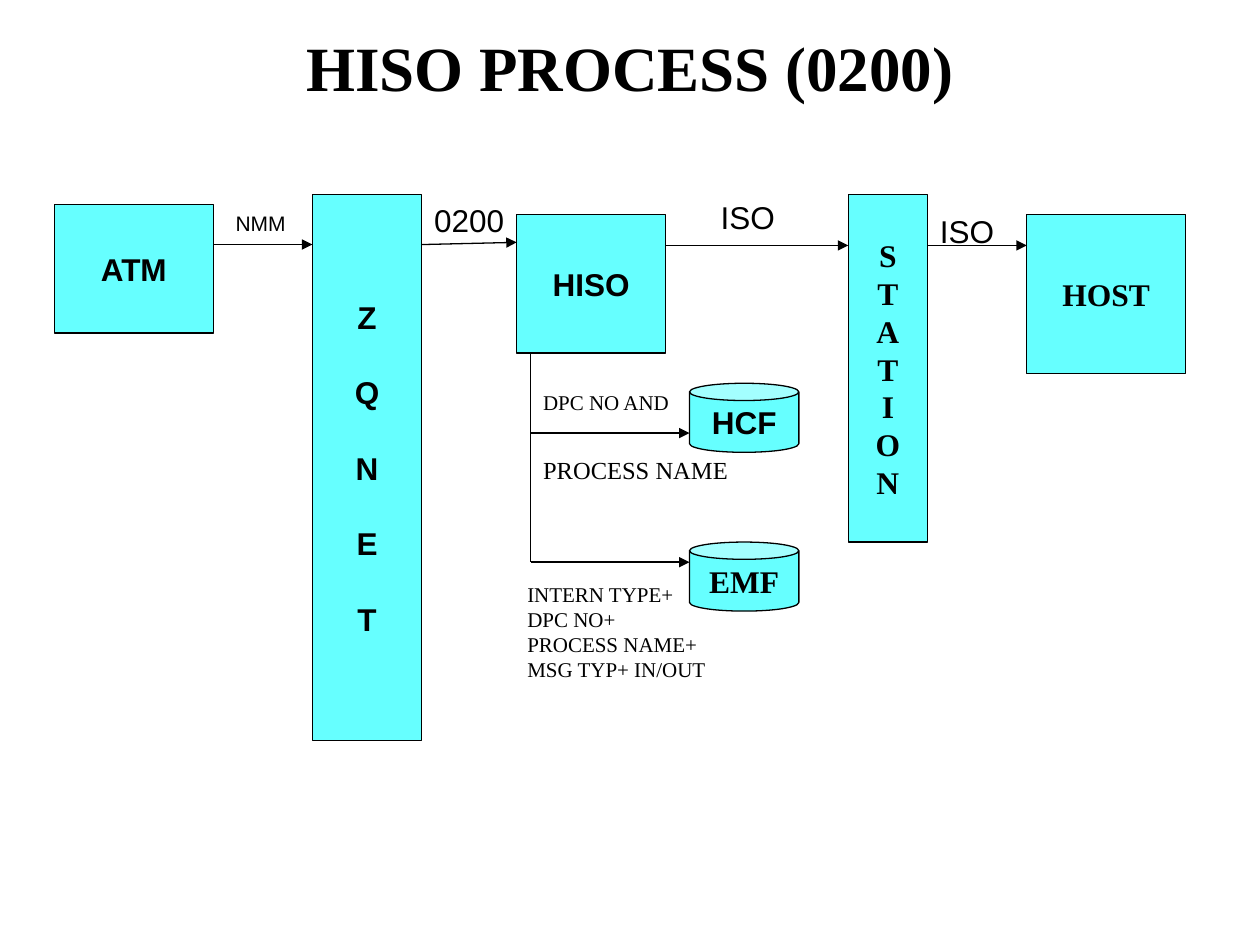
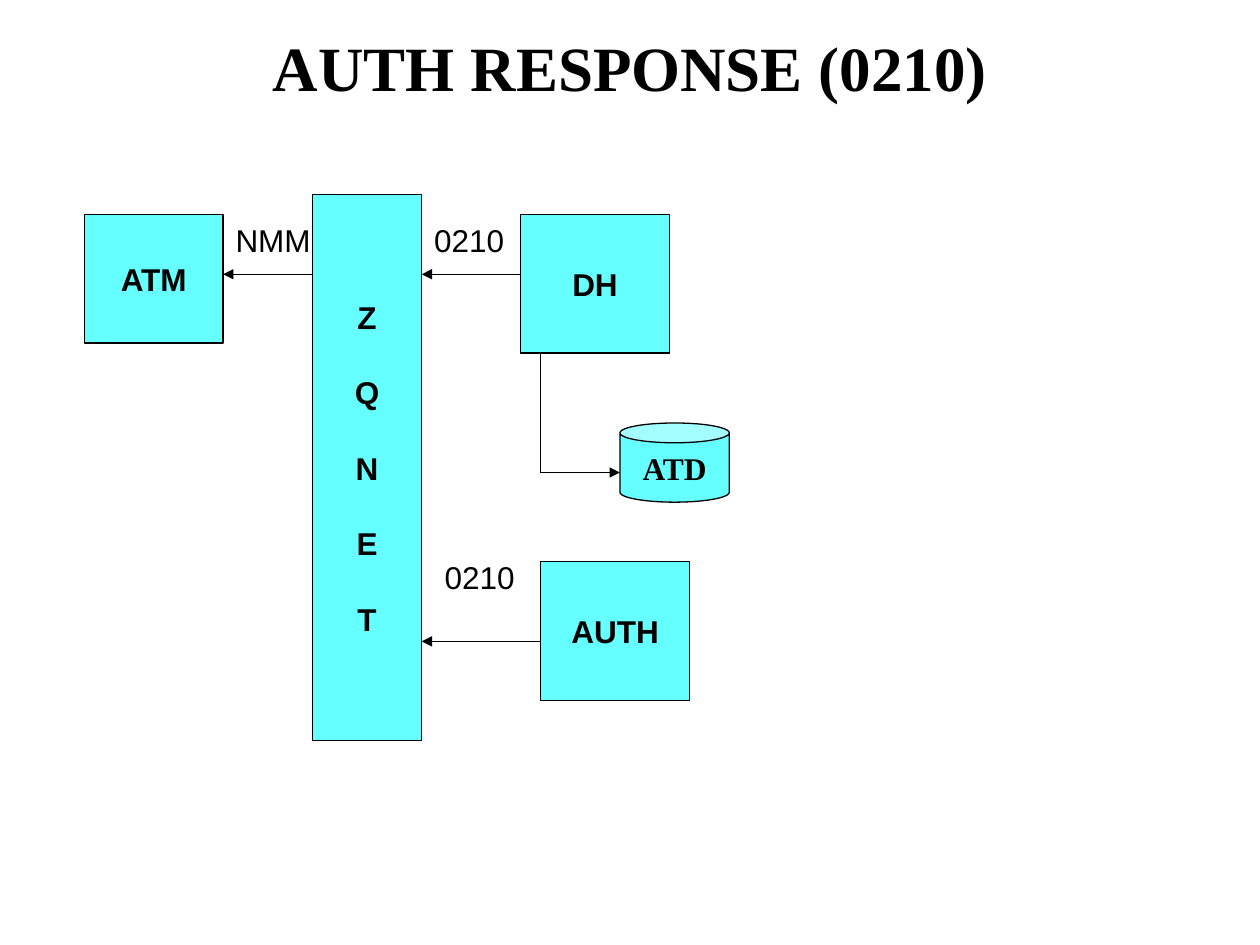
from pptx import Presentation
from pptx.dml.color import RGBColor
from pptx.enum.shapes import MSO_CONNECTOR, MSO_SHAPE
from pptx.enum.text import MSO_ANCHOR, MSO_AUTO_SIZE, PP_ALIGN
from pptx.oxml.ns import qn
from pptx.util import Pt
from lxml import etree

BLACK = RGBColor(0x00, 0x00, 0x00)
CYAN = RGBColor(0x66, 0xFF, 0xFF)
SANS = "Arial"
SERIF = "Times New Roman"
LINE_WIDTH = Pt(0.75)
LEADING = 1.2


def write(tf, text, size=18, font=SANS, bold=False, align=PP_ALIGN.LEFT,
          anchor=MSO_ANCHOR.TOP, wrap=False, gap=0, leading=LEADING):
    """Fill a text frame, one paragraph per line; gap is the space between them."""
    tf.word_wrap = wrap
    tf.vertical_anchor = anchor
    for i, line in enumerate(text.split("\n")):
        p = tf.paragraphs[0] if i == 0 else tf.add_paragraph()
        p.alignment = align
        if leading:
            p.line_spacing = Pt(size * leading)
        if i and gap:
            p.space_before = Pt(gap)
        r = p.add_run()
        r.text = line
        r.font.size = Pt(size)
        r.font.name = font
        r.font.bold = bold
        r.font.color.rgb = BLACK


def add_slide(prs, title):
    s = prs.slides.add_slide(prs.slide_layouts[5])
    sp = s.shapes.title
    sp.left, sp.top, sp.width, sp.height = Pt(36), Pt(15), Pt(648), Pt(46)
    sp.text_frame.auto_size = MSO_AUTO_SIZE.NONE
    write(sp.text_frame, title, size=36, font=SERIF, bold=True,
          align=PP_ALIGN.CENTER, anchor=MSO_ANCHOR.MIDDLE, wrap=True, leading=None)
    return s


def add_node(s, text, x, y, w, h, kind=MSO_SHAPE.RECTANGLE, font=SANS, gap=0):
    sp = s.shapes.add_shape(kind, Pt(x), Pt(y), Pt(w), Pt(h))
    sp.shadow.inherit = False
    sp.fill.solid()
    sp.fill.fore_color.rgb = CYAN
    sp.line.color.rgb = BLACK
    sp.line.width = LINE_WIDTH
    write(sp.text_frame, text, font=font, bold=True, align=PP_ALIGN.CENTER,
          anchor=MSO_ANCHOR.MIDDLE, gap=gap)
    return sp


def add_store(s, text, x, y, h, font=SERIF):
    """Draw a data file as a cylinder."""
    return add_node(s, text, x, y, 62.5, h, kind=MSO_SHAPE.CAN, font=font)


def add_switch(s):
    """Draw the tall network bar that both flows pass through."""
    return add_node(s, "\n".join("ZQNET"), 178.5, 111.25, 62.5, 312, gap=21.6)


def add_label(s, text, x, y, w, h=28.8, **style):
    sp = s.shapes.add_textbox(Pt(x), Pt(y), Pt(w), Pt(h))
    sp.text_frame.auto_size = MSO_AUTO_SIZE.SHAPE_TO_FIT_TEXT
    write(sp.text_frame, text, wrap=True, **style)


def add_line(s, x1, y1, x2, y2, arrow=True):
    c = s.shapes.add_connector(MSO_CONNECTOR.STRAIGHT, x1, y1, x2, y2)
    c.line.color.rgb = BLACK
    c.line.width = LINE_WIDTH
    if arrow:
        etree.SubElement(c.line._get_or_add_ln(), qn("a:tailEnd"), type="triangle")
    etree.SubElement(c._element.spPr, qn("a:effectLst"))


def link(s, start, end, y, y_end=None):
    """Draw an arrow between the facing sides of two nodes."""
    if start.left < end.left:
        x1, x2 = start.left + start.width, end.left
    else:
        x1, x2 = start.left, end.left + end.width
    add_line(s, x1, Pt(y), x2, Pt(y_end or y))


def branch(s, node, x, targets):
    """Drop a trunk from a node, with an arrow to each (store, y) in targets."""
    add_line(s, Pt(x), node.top + node.height, Pt(x), Pt(targets[-1][1]), arrow=False)
    for store, y in targets:
        add_line(s, Pt(x), Pt(y), store.left, Pt(y))


def build_hiso_process(prs):
    s = add_slide(prs, "HISO PROCESS (0200)")
    atm = add_node(s, "ATM", 31, 116.75, 91, 73.5)
    switch = add_switch(s)
    hiso = add_node(s, "HISO", 295.25, 122.5, 85, 79.25)
    station = add_node(s, "\n".join("STATION"), 484.75, 111.25, 45.25, 198.5, font=SERIF)
    host = add_node(s, "HOST", 586.75, 122.5, 90.75, 91, font=SERIF)
    hcf = add_store(s, "HCF", 394, 219, 39.5, font=SANS)
    emf = add_store(s, "EMF", 394, 309.75, 39.5)

    link(s, atm, switch, 139.75)
    link(s, switch, hiso, 139.75, 138.5)
    link(s, hiso, station, 140.25)
    link(s, station, host, 140.25)
    branch(s, hiso, 303.25, [(hcf, 247.5), (emf, 321.25)])

    add_label(s, "NMM", 127.5, 116.75, 46, 21.6, size=12)
    add_label(s, "0200", 241, 111.5, 57)
    add_label(s, "ISO", 404.75, 109.5, 48)
    add_label(s, "ISO", 530, 117.5, 48)
    add_label(s, "DPC NO AND", 303.25, 219, 90, 21.6, size=12, font=SERIF)
    add_label(s, "PROCESS NAME", 303.25, 256.5, 122, 24, size=14, font=SERIF)
    add_label(s, "INTERN TYPE+\nDPC NO+\nPROCESS NAME+\nMSG TYP+ IN/OUT",
              294.25, 328.5, 119, 64.8, size=12, font=SERIF)


def build_auth_response(prs):
    s = add_slide(prs, "AUTH RESPONSE (0210)")
    atm = add_node(s, "ATM", 48.25, 122.5, 79.25, 73.5)
    switch = add_switch(s)
    handler = add_node(s, "DH", 297.5, 122.5, 85, 79.25)
    auth = add_node(s, "AUTH", 309, 321, 85, 79.25)
    atd = add_store(s, "ATD", 354.25, 241.75, 45.25)

    branch(s, handler, 309, [(atd, 270)])
    link(s, auth, switch, 366.5)
    link(s, handler, switch, 156.75)
    link(s, switch, atm, 156.75)

    add_label(s, "NMM", 127.5, 122.5, 60)
    add_label(s, "0210", 241, 122.5, 62)
    add_label(s, "0210", 247, 315.25, 57)


def main():
    prs = Presentation()
    prs.slide_width, prs.slide_height = Pt(720), Pt(540)
    build_hiso_process(prs)
    build_auth_response(prs)
    prs.save("out.pptx")


if __name__ == "__main__":
    main()
